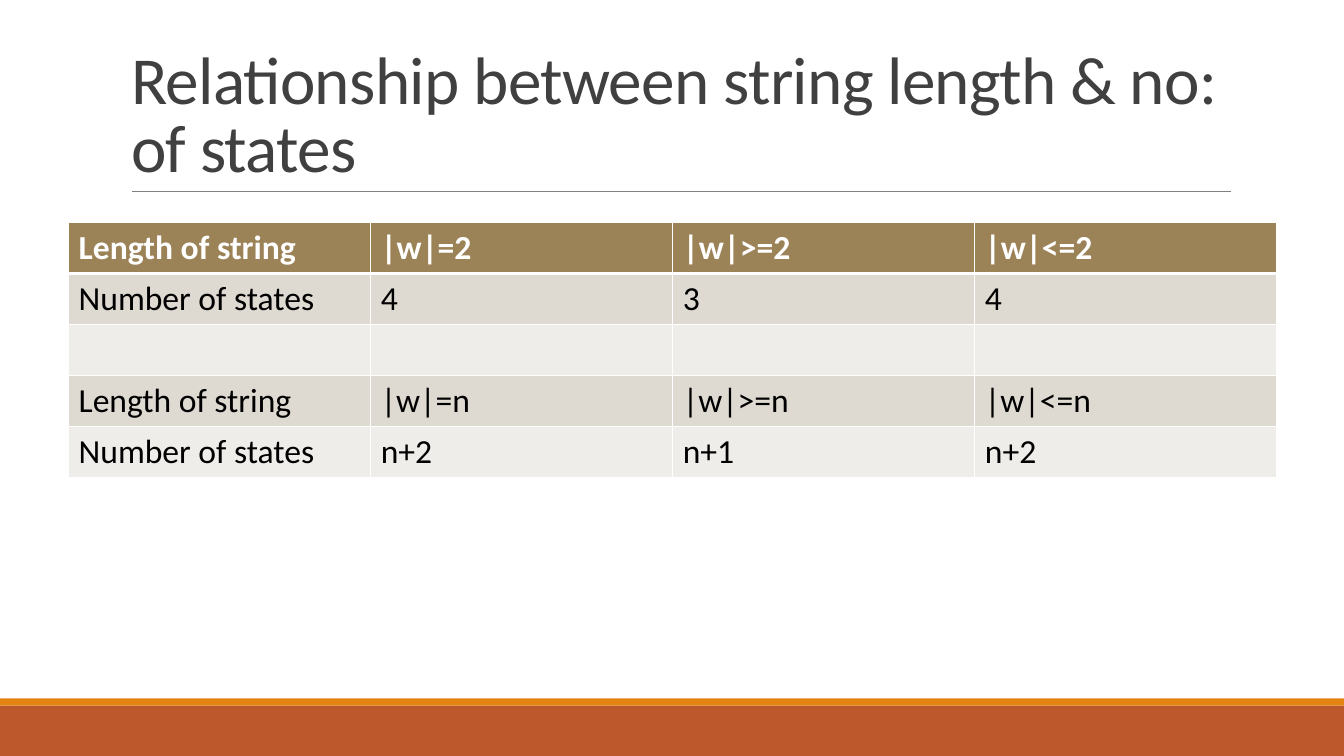
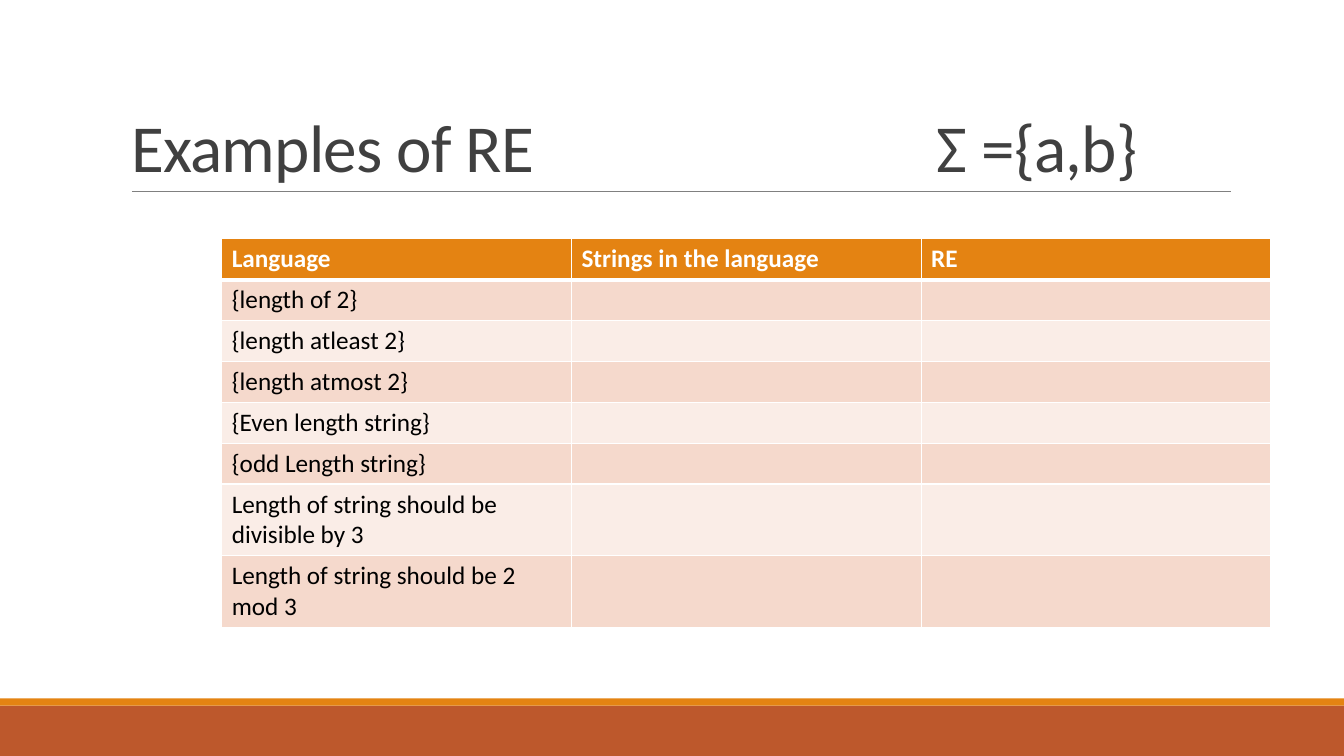
from lxml import etree
from pptx import Presentation
from pptx.dml.color import RGBColor
from pptx.enum import shapes, text
from pptx.oxml import ns
from pptx.util import Pt

WHITE = RGBColor(0xFF, 0xFF, 0xFF)
BLACK = RGBColor(0x00, 0x00, 0x00)
TITLE_GREY = RGBColor(0x40, 0x40, 0x40)
RULE_GREY = RGBColor(0x80, 0x80, 0x80)
RUST = RGBColor(0xBD, 0x58, 0x2C)
ORANGE = RGBColor(0xE4, 0x83, 0x12)
BROWN = RGBColor(0x9B, 0x83, 0x57)
SAND = RGBColor(0xDE, 0xD9, 0xD1)
PALE_SAND = RGBColor(0xEF, 0xED, 0xEA)
PEACH = RGBColor(0xF5, 0xD9, 0xCC)
PALE_PEACH = RGBColor(0xFA, 0xED, 0xE7)

FONT = "Calibri"
SLIDE_WIDTH, SLIDE_HEIGHT = 960, 540
TITLE_ONLY = 5

STATE_ROWS = [
    ["Length of string", "|w|=2", "|w|>=2", "|w|<=2"],
    ["Number of states", "4", "3", "4"],
    ["", "", "", ""],
    ["Length of string", "|w|=n", "|w|>=n", "|w|<=n"],
    ["Number of states", "n+2", "n+1", "n+2"],
]
LANGUAGES = [
    "{length of 2}",
    "{length atleast 2}",
    "{length atmost 2}",
    "{Even length string}",
    "{odd Length string}",
    "Length of string should be divisible by 3",
    "Length of string should be 2 mod 3",
]
RE_ROWS = [["Language", "Strings in the language", "RE"]]
RE_ROWS += [[language, "", ""] for language in LANGUAGES]


def add_run(paragraph, words, size, color, bold=False):
    run = paragraph.add_run()
    run.text = words
    run.font.name = FONT
    run.font.size = Pt(size)
    run.font.bold = bold
    run.font.color.rgb = color
    return run


def add_band(slide, top, height, color):
    band = slide.shapes.add_shape(
        shapes.MSO_SHAPE.RECTANGLE, 0, Pt(top), Pt(SLIDE_WIDTH), Pt(height))
    band.shadow.inherit = False
    band.fill.solid()
    band.fill.fore_color.rgb = color
    band.line.fill.background()


def add_title_rule(slide):
    rule = slide.shapes.add_connector(
        shapes.MSO_CONNECTOR.STRAIGHT, Pt(94.3), Pt(136.8), Pt(879), Pt(136.8))
    rule.line.color.rgb = RULE_GREY
    rule.line.width = Pt(0.5)
    etree.SubElement(rule._element.spPr, ns.qn("a:effectLst"))


def add_tab_stop(paragraph, position):
    tabs = etree.SubElement(paragraph._p.get_or_add_pPr(), ns.qn("a:tabLst"))
    etree.SubElement(tabs, ns.qn("a:tab"), pos=str(Pt(position)), algn="l")


def set_title(slide, words):
    title = slide.shapes.title
    title.left, title.top = Pt(86.4), Pt(22.3)
    title.width, title.height = Pt(792), Pt(114.5)
    frame = title.text_frame
    frame.word_wrap = True
    frame.auto_size = text.MSO_AUTO_SIZE.NONE
    frame.vertical_anchor = text.MSO_ANCHOR.BOTTOM
    heading = frame.paragraphs[0]
    heading.alignment = text.PP_ALIGN.LEFT
    heading.line_spacing = 0.85
    if "\t" in words:
        add_tab_stop(heading, 575.5)
    run = add_run(heading, words, 48, TITLE_GREY)
    run.font._element.set("spc", "-50")


def add_slide(deck, title):
    slide = deck.slides.add_slide(deck.slide_layouts[TITLE_ONLY])
    add_band(slide, 504, 36, RUST)
    add_band(slide, 498.8, 5.2, ORANGE)
    add_title_rule(slide)
    set_title(slide, title)
    return slide


def set_borders(cell, top, bottom):
    properties = cell._tc.get_or_add_tcPr()
    widths = {"lnL": 1, "lnR": 1, "lnT": top, "lnB": bottom}
    for position, (side, width) in enumerate(widths.items()):
        border = etree.Element(ns.qn("a:" + side), w=str(Pt(width)))
        fill = etree.SubElement(border, ns.qn("a:solidFill"))
        etree.SubElement(fill, ns.qn("a:srgbClr"), val=str(WHITE))
        properties.insert(position, border)


def add_banded_table(slide, rows, left, top, column_width, row_height,
                     size, header_fill, band_fills):
    columns = len(rows[0])
    table = slide.shapes.add_table(
        len(rows), columns, Pt(left), Pt(top),
        Pt(column_width * columns), Pt(row_height * len(rows))).table
    table.horz_banding = False
    for column in table.columns:
        column.width = Pt(column_width)
    for row_index, row in enumerate(rows):
        table.rows[row_index].height = Pt(row_height)
        header = row_index == 0
        fill = header_fill if header else band_fills[(row_index - 1) % 2]
        for column_index, words in enumerate(row):
            cell = table.cell(row_index, column_index)
            cell.fill.solid()
            cell.fill.fore_color.rgb = fill
            set_borders(cell, 3 if row_index == 1 else 1, 3 if header else 1)
            if words:
                add_run(cell.text_frame.paragraphs[0], words, size,
                        WHITE if header else BLACK, header)


def main():
    deck = Presentation()
    deck.slide_width, deck.slide_height = Pt(SLIDE_WIDTH), Pt(SLIDE_HEIGHT)

    states = add_slide(deck, "Relationship between string length & no: of states")
    add_banded_table(states, STATE_ROWS, 49, 158.8, 215.8, 36.4, 24,
                     BROWN, (SAND, PALE_SAND))

    examples = add_slide(deck, "Examples of RE\tΣ ={a,b}")
    add_banded_table(examples, RE_ROWS, 158.4, 170.6, 249.8, 29.2, 18,
                     ORANGE, (PEACH, PALE_PEACH))

    deck.save("out.pptx")


if __name__ == "__main__":
    main()
